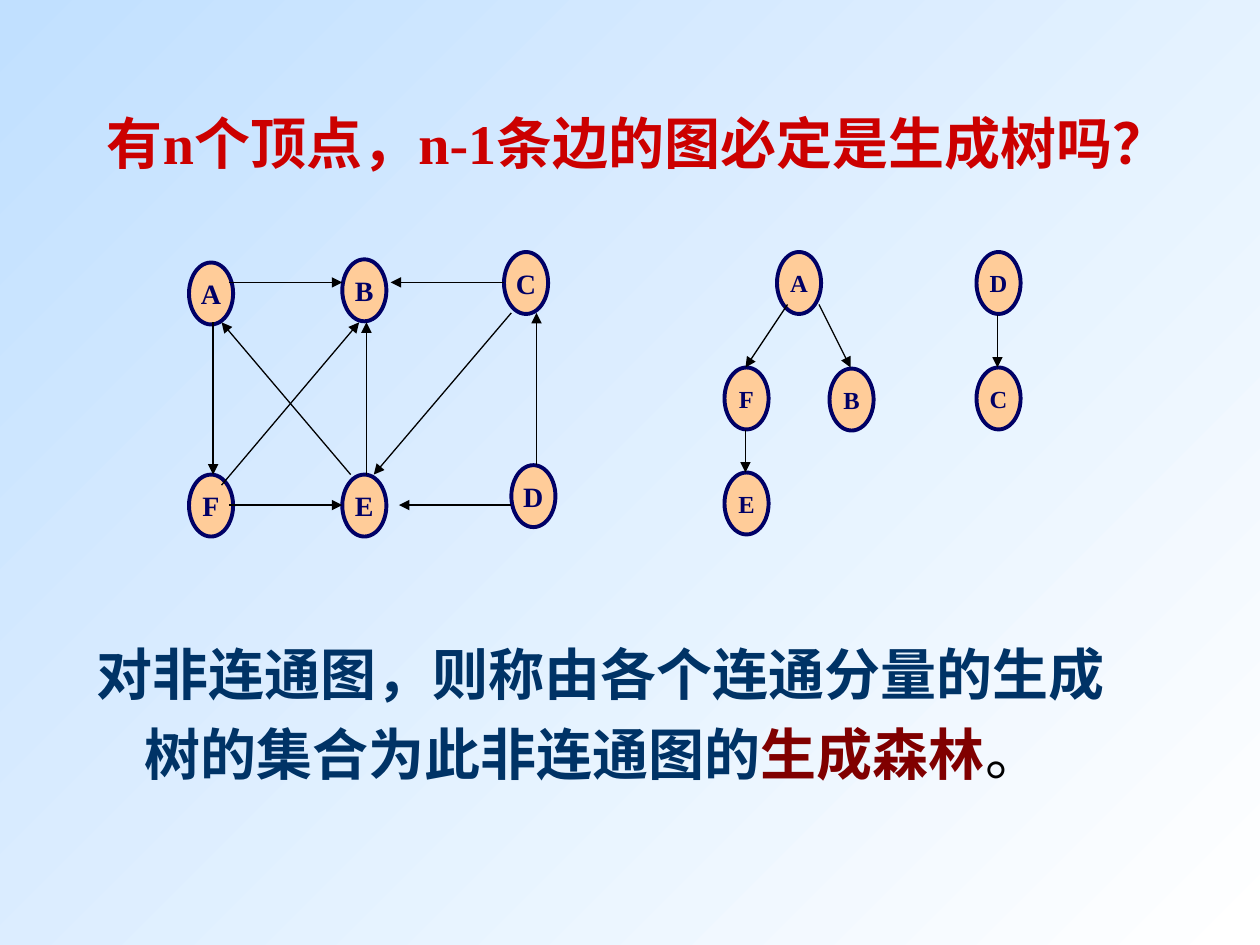
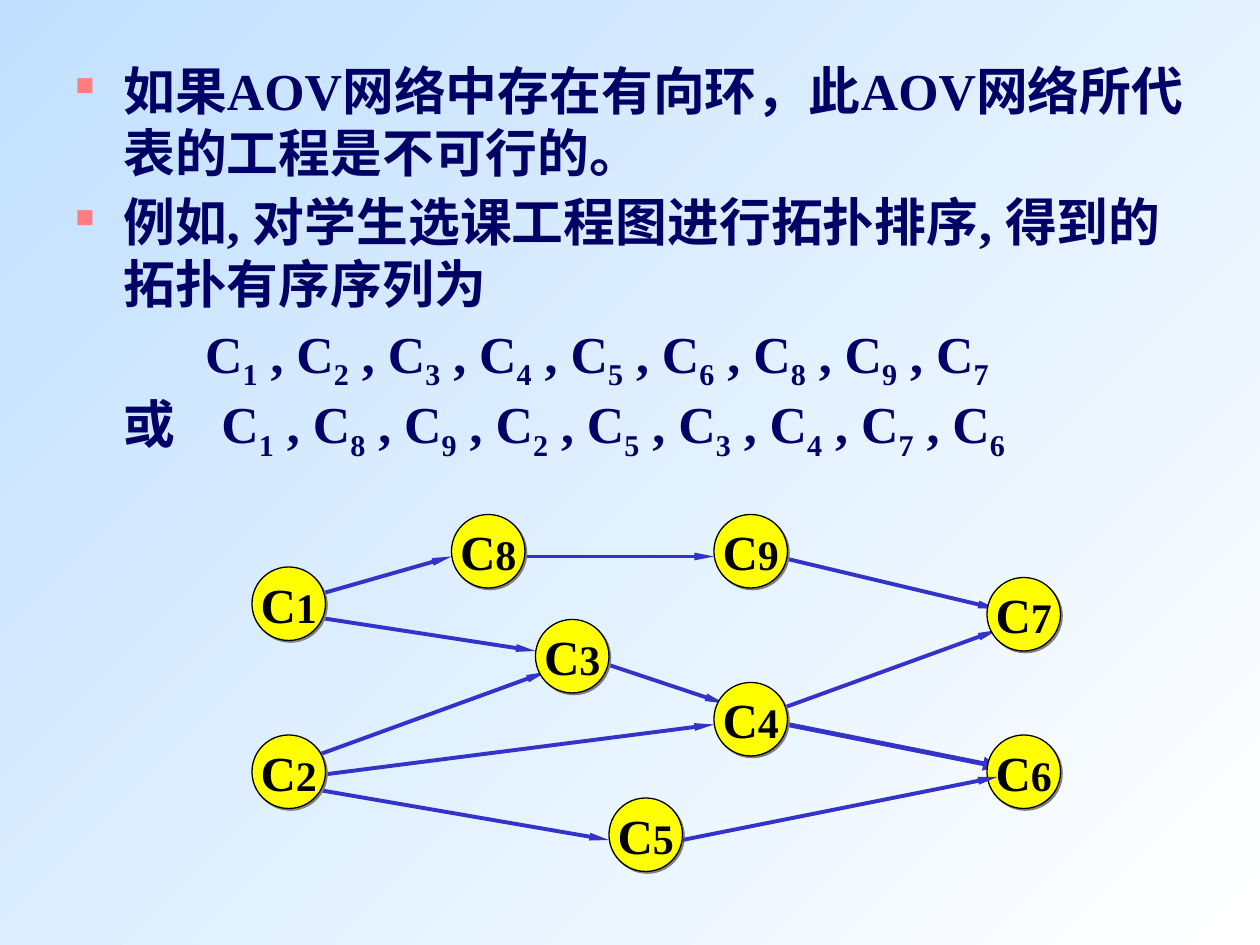
from itertools import groupby

from lxml import etree
from pptx import Presentation
from pptx.dml.color import RGBColor
from pptx.enum.shapes import MSO_CONNECTOR, MSO_SHAPE
from pptx.enum.text import MSO_ANCHOR, PP_ALIGN
from pptx.oxml.ns import qn
from pptx.util import Inches, Pt

ELLIPSE = MSO_SHAPE.OVAL
STRAIGHT = MSO_CONNECTOR.STRAIGHT
MIDDLE, TOP = MSO_ANCHOR.MIDDLE, MSO_ANCHOR.TOP
CENTER = PP_ALIGN.CENTER

FONT = "Times New Roman"
COLORS = {
    "white": "FFFFFF", "sky": "C1E0FF", "title": "CC0000", "body": "003366",
    "term": "800000", "black": "000000", "navy": "000066", "peach": "FFCC99",
    "yellow": "FFFF00", "arrow": "3333CC", "bullet": "FF7C80", "shadow": "808080",
}

# The slide is a grid of 120 columns by 90 rows; boxes are (col, row, cols, rows)
COLS, ROWS = 120, 90
WIDTH, HEIGHT = Inches(10), Inches(7.5)

# Boxes
TITLE_BOX = (9, 8, 105, 11)
FOREST_TEXT_BOX = (8, 59, 101, 17)
DIGRAPH_BOX = (18, 24, 35, 27)
FOREST_BOX = (69, 24, 28, 27)
AOV_TEXT_BOX = (6, 5, 108, 42)
AOV_BOX = (24, 49, 77, 34)

# Vertices and edges, in grid cells from the corner of their box
DIGRAPH_NODES = {
    "A": (0, 1), "B": (14.6, 0.7), "C": (30, 0),
    "D": (30.7, 20.3), "E": (14.6, 21.2), "F": (0, 21.2),
}
DIGRAPH_EDGES = [
    (3.8, 2.9, 14.6, 2.9),      # A to B
    (2.3, 6.7, 2.3, 21.2),      # A to F
    (30, 2.9, 19.2, 2.9),       # C to B
    (3.8, 24.1, 14.6, 24.1),    # F to E
    (30.7, 24.1, 20, 24.1),     # D to E
    (3.1, 22.2, 16.2, 6.7),     # F to B
    (30.7, 5.8, 17.6, 21.2),    # C to E
    (33.1, 20.3, 33.1, 5.8),    # D to C
    (15.4, 21.2, 3.1, 6.7),     # E to A
    (16.9, 21.2, 16.9, 6.7),    # E to B
]
FOREST_NODES = {
    "A": (5, 0), "B": (10, 11.1), "C": (24, 11),
    "D": (24, 0), "E": (0, 21), "F": (0, 11),
}
FOREST_EDGES = [
    (6, 5, 2, 11),              # A to F
    (9, 5, 12, 11),             # A to B
    (2, 17, 2, 21),             # F to E
    (26, 6, 26, 11),            # D to C
]
COURSE_NODES = {
    "C8": (19, 0), "C3": (27, 10), "C5": (34, 27), "C4": (44, 16), "C9": (44, 0),
    "C6": (70, 21), "C7": (70, 6), "C1": (0, 5), "C2": (0, 21),
}
COURSE_EDGES = [
    (5, 25, 44, 20),            # C2 to C4
    (33, 14, 45, 18),           # C3 to C4
    (50, 4, 71, 9),             # C9 to C7
    (49, 19, 71, 11),           # C4 to C7
    (23, 4, 44, 4),             # C8 to C9
    (5, 26, 34, 31),            # C2 to C5
    (6, 23, 28, 15),            # C2 to C3
    (1, 9, 27, 13),             # C1 to C3
    (5, 8, 19, 4),              # C1 to C8
]
CRITICAL_EDGE = (51, 20, 71, 24)    # C4 to C6
FRONT_EDGE = (41, 31, 71, 25)       # C5 to C6


def rgb(name):
    return RGBColor.from_string(COLORS[name])


def place(col, row):
    return round(WIDTH * col / COLS), round(HEIGHT * row / ROWS)


def child(parent, tag, **attrs):
    return etree.SubElement(parent, qn(tag), attrs)


def add_run(p, text, size, color, bold=True):
    r = p.add_run()
    r.text = text
    r.font.name, r.font.size, r.font.bold = FONT, Pt(size), bold
    r.font.color.rgb = rgb(color)
    return r


def indent(p, left, first):
    pPr = p._p.get_or_add_pPr()
    pPr.set("marL", str(Inches(left)))
    pPr.set("indent", str(Inches(first)))
    return pPr


def add_text_box(slide, box, anchor=TOP):
    tf = slide.shapes.add_textbox(*place(*box[:2]), *place(*box[2:])).text_frame
    tf.word_wrap = True
    tf.vertical_anchor = anchor
    return tf


def paint_background(master):
    fill = master.background.fill
    fill.gradient()
    fill.gradient_angle = 135
    for stop, name in zip(fill.gradient_stops, ("white", "sky")):
        stop.color.rgb = rgb(name)


def add_nodes(slide, box, nodes, size, fill, line, line_width, letter_size,
              digit_size=None, shadow=False):
    """Draw labelled ellipses inside the box."""
    for label, (col, row) in nodes.items():
        sp = slide.shapes.add_shape(
            ELLIPSE, *place(box[0] + col, box[1] + row), *place(*size))
        sp.fill.solid()
        sp.fill.fore_color.rgb = rgb(fill)
        sp.line.color.rgb = rgb(line)
        sp.line.width = Pt(line_width)
        sp.shadow.inherit = False
        if shadow:
            effects = sp._element.spPr.find(qn("a:effectLst"))
            outer = child(effects, "a:outerShdw", blurRad="0", dist=str(Pt(1.4)),
                          dir="2700000", algn="ctr", rotWithShape="0")
            child(outer, "a:srgbClr", val=COLORS["shadow"])
        tf = sp.text_frame
        tf.word_wrap = False
        tf.vertical_anchor = MIDDLE
        p = tf.paragraphs[0]
        p.alignment = CENTER
        add_run(p, label[0], letter_size, line)
        if label[1:]:
            add_run(p, label[1:], digit_size, line)


def add_edges(slide, box, edges, color, width, head=("med", "med")):
    """Draw arrows inside the box; head is the arrowhead's width and length."""
    for x1, y1, x2, y2 in edges:
        cn = slide.shapes.add_connector(
            STRAIGHT, *place(box[0] + x1, box[1] + y1), *place(box[0] + x2, box[1] + y2))
        cn.line.color.rgb = rgb(color)
        cn.line.width = Pt(width)
        child(cn.line._get_or_add_ln(), "a:tailEnd", type="triangle", w=head[0], len=head[1])
        child(cn._element.spPr, "a:effectLst")


def add_letter_graph(slide, box, nodes, edges, size):
    add_nodes(slide, box, nodes, (4.2, 5.9), "peach", "navy", 2.25, size)
    add_edges(slide, box, edges, "black", 0.75)


def add_course_graph(slide, box):
    thin = ("sm", "lg")
    add_edges(slide, box, COURSE_EDGES, "arrow", 2.25, thin)
    add_edges(slide, box, [CRITICAL_EDGE], "arrow", 2.75)
    add_nodes(slide, box, COURSE_NODES, (7, 7), "yellow", "black", 0.75, 28, 24, True)
    add_edges(slide, box, [FRONT_EDGE], "arrow", 2.25, thin)


def add_aov_text(slide, box):
    size, color = 29.6, "navy"
    tf = add_text_box(slide, box)

    # Bulleted statements
    statements = ["如果AOV网络中存在有向环，此AOV网络所代表的工程是不可行的。",
                  "例如, 对学生选课工程图进行拓扑排序, 得到的拓扑有序序列为"]
    for i, text in enumerate(statements):
        p = tf.add_paragraph() if i else tf.paragraphs[0]
        p.space_before = Pt(4)
        pPr = indent(p, 0.38, -0.38)
        child(child(pPr, "a:buClr"), "a:srgbClr", val=COLORS["bullet"])
        child(pPr, "a:buSzPct", val="50000")
        child(pPr, "a:buChar", char="■")
        add_run(p, text, size, color)

    # Course orders, with each number as a subscript
    orders = [("", "123456897", 1.03, 0, 4), ("或\t", "189253476", 1.16, -0.78, 0)]
    for lead, numbers, left, first, before in orders:
        p = tf.add_paragraph()
        p.space_before = Pt(before)
        indent(p, left, first)
        text = lead + " , ".join("C" + n for n in numbers)
        for is_number, chars in groupby(text, str.isdigit):
            r = add_run(p, "".join(chars), size, color)
            if is_number:
                r.font._element.set("baseline", "-25000")


def spanning_forest_slide(prs, layout):
    slide = prs.slides.add_slide(layout)
    # Question
    tf = add_text_box(slide, TITLE_BOX, MIDDLE)
    add_run(tf.paragraphs[0], "有n个顶点，n-1条边的图必定是生成树吗？", 32, "title")
    # Definition
    p = add_text_box(slide, FOREST_TEXT_BOX).paragraphs[0]
    p.line_spacing = 1.2
    indent(p, 0.38, -0.38)
    add_run(p, "对非连通图，则称由各个连通分量的生成树的集合为此非连通图的", 32, "body")
    add_run(p, "生成森林", 32, "term")
    add_run(p, "。", 32, "black", False)
    # Digraph and its spanning forest
    add_letter_graph(slide, DIGRAPH_BOX, DIGRAPH_NODES, DIGRAPH_EDGES, 16)
    add_letter_graph(slide, FOREST_BOX, FOREST_NODES, FOREST_EDGES, 14)


def topological_order_slide(prs, layout):
    slide = prs.slides.add_slide(layout)
    add_aov_text(slide, AOV_TEXT_BOX)
    add_course_graph(slide, AOV_BOX)


def main():
    prs = Presentation()
    prs.slide_width, prs.slide_height = WIDTH, HEIGHT
    paint_background(prs.slide_master)
    blank = prs.slide_layouts[6]
    spanning_forest_slide(prs, blank)
    topological_order_slide(prs, blank)
    prs.save("out.pptx")


if __name__ == "__main__":
    main()
